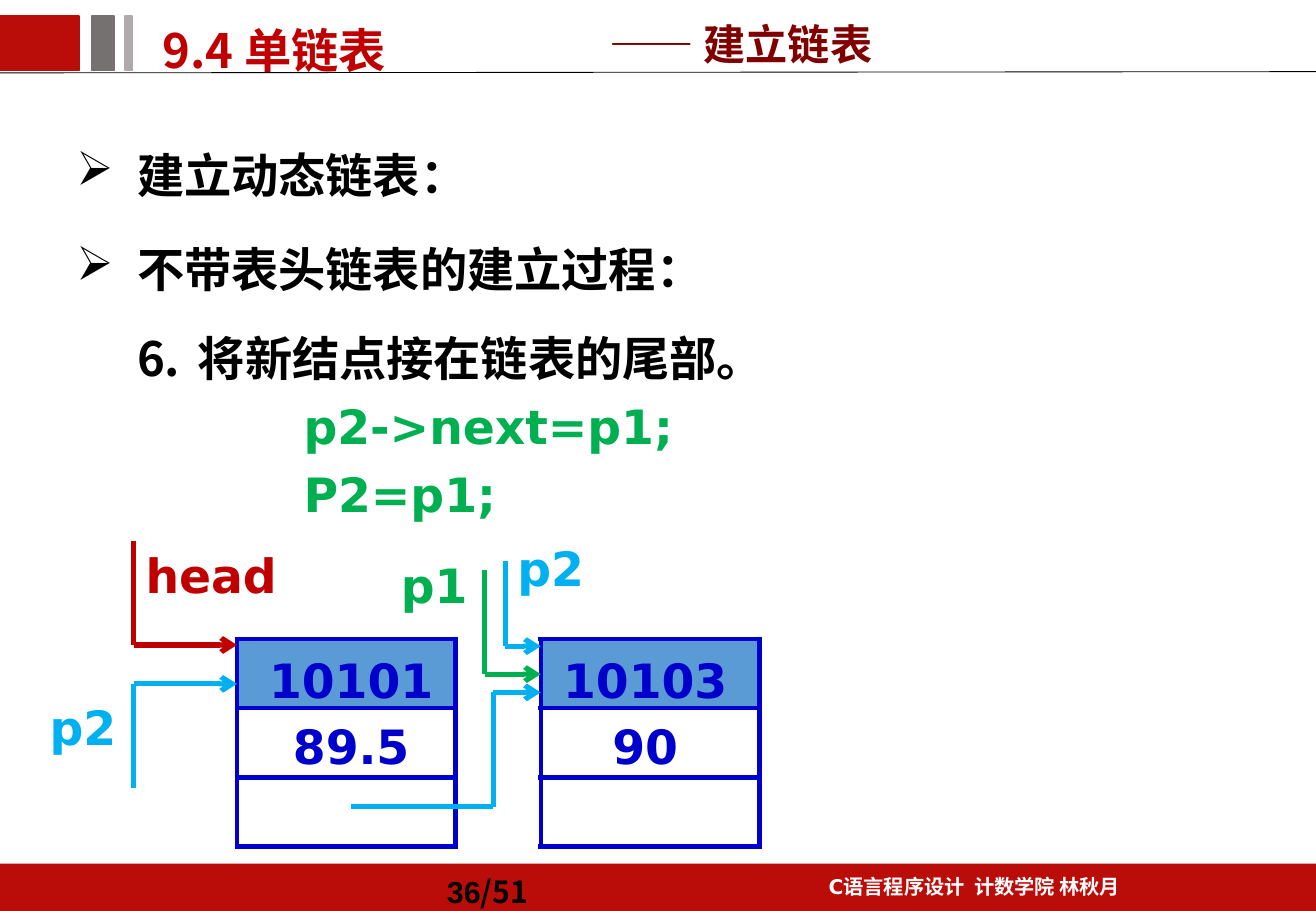
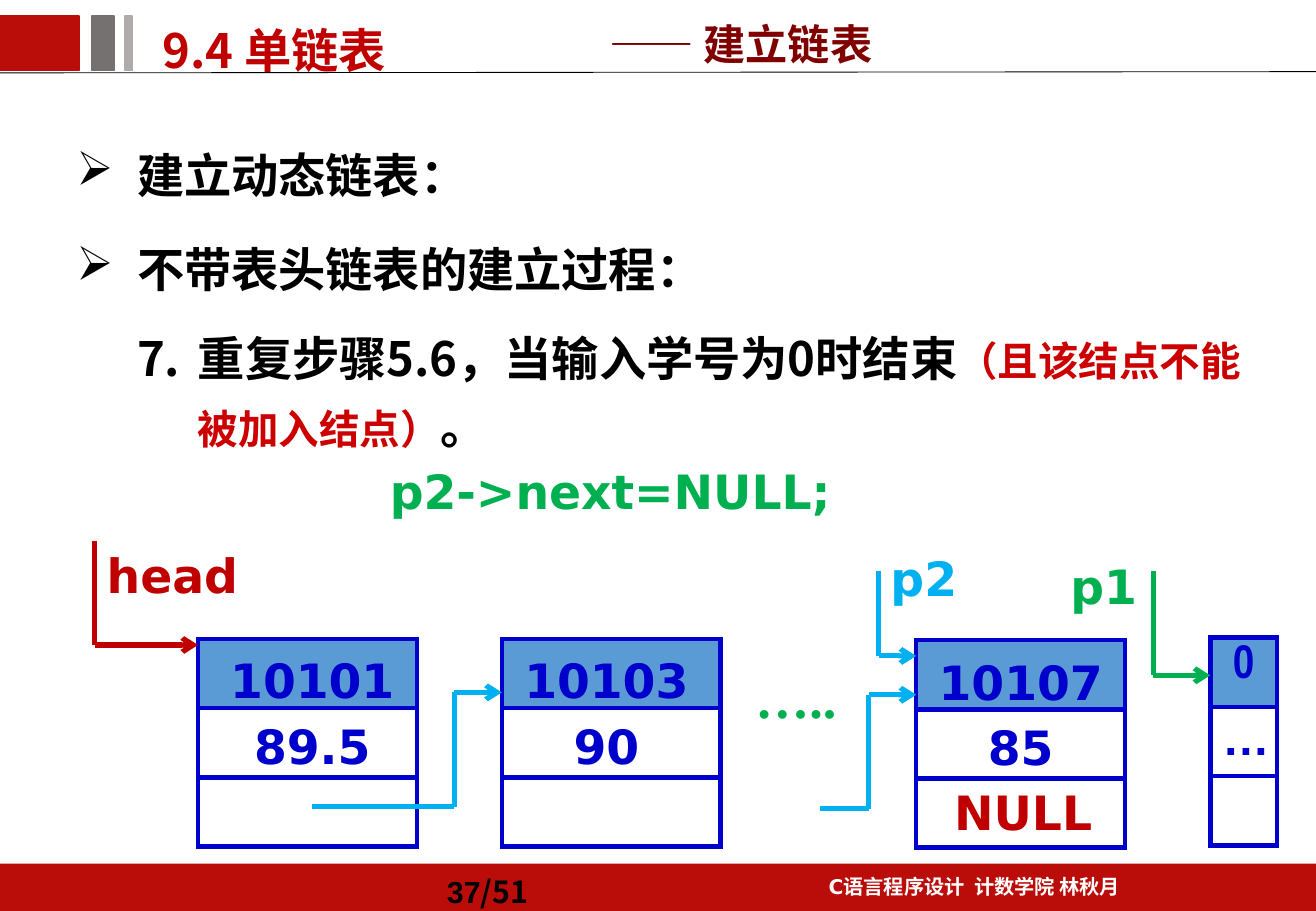
from dataclasses import dataclass
from itertools import pairwise

from lxml.etree import SubElement
from pptx import Presentation
from pptx.dml.color import RGBColor
from pptx.enum.shapes import MSO_CONNECTOR, MSO_SHAPE
from pptx.enum.text import MSO_ANCHOR, MSO_AUTO_SIZE, PP_ALIGN
from pptx.oxml.ns import qn
from pptx.util import Inches, Pt


@dataclass(frozen=True)
class Theme:
    band: str = "BA0D09"
    dark_gray: str = "767171"
    light_gray: str = "AFABAB"
    white: str = "FFFFFF"
    black: str = "000000"
    red: str = "C00000"
    note_red: str = "CC0000"
    maroon: str = "800000"
    green: str = "00B050"
    sky: str = "00B0F0"
    navy: str = "0000CC"
    node_fill: str = "5B9BD5"
    cjk: str = "Noto Sans CJK SC"
    code: str = "DejaVu Sans"
    sans: str = "Arial"
    narrow: str = "Arial Narrow"
    serif: str = "Times New Roman"
    body: int = 28
    subtitle: int = 25
    note: int = 24
    dots: int = 32
    page: int = 18
    footer: int = 12
    stroke: int = 3


THEME = Theme()
WIDTH, HEIGHT = 10.83, 7.5
ROW_HEIGHT = 0.57
NODE_WIDTH, LABEL_WIDTH = 1.8, 1.72
NODE_TOP = 5.26


def color(value):
    return RGBColor.from_string(value)


def add_run(paragraph, text, size=THEME.body, font=THEME.code, fill=THEME.black):
    run = paragraph.add_run()
    run.text = text
    run.font.size = Pt(size)
    run.font.bold = True
    run.font.name = font
    run.font.color.rgb = color(fill)
    east_asian = SubElement(run._r.get_or_add_rPr(), qn("a:ea"))
    east_asian.set("typeface", THEME.cjk)


def add_bullet(paragraph, margin, kind, **attributes):
    properties = paragraph._p.get_or_add_pPr()
    properties.set("marL", str(Inches(margin)))
    properties.set("indent", str(Inches(-0.5)))
    bullet = SubElement(properties, qn(kind))
    for name, value in attributes.items():
        bullet.set(name, str(value))


def add_text(slide, box, paragraphs, align=None, spacing=None, before=0,
             anchor=MSO_ANCHOR.TOP, wrap=True, grow=True, **style):
    shape = slide.shapes.add_textbox(*map(Inches, box))
    frame = shape.text_frame
    frame.word_wrap = wrap
    frame.vertical_anchor = anchor
    frame.auto_size = MSO_AUTO_SIZE.SHAPE_TO_FIT_TEXT if grow else MSO_AUTO_SIZE.NONE
    for index, content in enumerate(paragraphs):
        paragraph = frame.add_paragraph() if index else frame.paragraphs[0]
        paragraph.alignment = align
        paragraph.line_spacing = spacing
        paragraph.space_before = Pt(before)
        runs = [(content, {})] if isinstance(content, str) else content
        for text, changes in runs:
            add_run(paragraph, text, **{**style, **changes})
    return frame.paragraphs


def add_block(slide, box, fill, outline=True):
    shape = slide.shapes.add_shape(MSO_SHAPE.RECTANGLE, *map(Inches, box))
    shape.shadow.inherit = False
    shape.fill.solid()
    shape.fill.fore_color.rgb = color(fill)
    if outline:
        shape.line.color.rgb = color(fill)
        shape.line.width = Pt(1)
    else:
        shape.line.fill.background()


def add_line(slide, start, end, stroke, width=THEME.stroke, arrow=False):
    connector = slide.shapes.add_connector(
        MSO_CONNECTOR.STRAIGHT, *map(Inches, (*start, *end)))
    connector.line.color.rgb = color(stroke)
    connector.line.width = Pt(width)
    properties = connector._element.spPr
    if arrow:
        SubElement(properties.get_or_add_ln(), qn("a:tailEnd")).set("type", "arrow")
    SubElement(properties, qn("a:effectLst"))


def add_pointer(slide, stroke, *points):
    for start, end in pairwise(points):
        add_line(slide, start, end, stroke, arrow=end == points[-1])


def add_label(slide, left, top, text, fill, width=0.86, **style):
    add_text(slide, (left, top, width, ROW_HEIGHT), [text], fill=fill, **style)


def set_borders(cell):
    properties = cell._tc.get_or_add_tcPr()
    for index, side in enumerate(("a:lnL", "a:lnR", "a:lnT", "a:lnB")):
        border = SubElement(properties, qn(side))
        border.set("w", str(Pt(THEME.stroke)))
        fill = SubElement(border, qn("a:solidFill"))
        SubElement(fill, qn("a:srgbClr")).set("val", THEME.navy)
        properties.insert(index, border)


def add_node_table(slide, left, top, width):
    table = slide.shapes.add_table(
        3, 1, *map(Inches, (left, top, width, 3 * ROW_HEIGHT))).table
    table.first_row = False
    table.horz_banding = False
    for index, fill in enumerate((THEME.node_fill, THEME.white, THEME.white)):
        table.rows[index].height = Inches(ROW_HEIGHT)
        cell = table.cell(index, 0)
        cell.fill.solid()
        cell.fill.fore_color.rgb = color(fill)
        set_borders(cell)
    return table


def add_node(slide, left, top, values, width=NODE_WIDTH, shift=0):
    add_node_table(slide, left, top, width)
    add_text(slide, (left + shift, top - 0.02, LABEL_WIDTH, 1.18), values,
             align=PP_ALIGN.CENTER, spacing=Pt(39), fill=THEME.navy)


def add_end_node(slide, left, top):
    table = add_node_table(slide, left, top, 0.55)
    for index, (text, font) in enumerate((("0", THEME.narrow), ("…", THEME.sans))):
        paragraph = table.cell(index, 0).text_frame.paragraphs[0]
        paragraph.alignment = PP_ALIGN.CENTER
        add_run(paragraph, text, font=font, fill=THEME.navy)


def add_chain(slide, left):
    second = left + 2.5
    tail, bend = left - 0.85, second - 0.39
    add_node(slide, left, NODE_TOP, ["10101", "89.5"], shift=0.08)
    add_node(slide, second, NODE_TOP, ["10103", "90"])
    add_label(slide, tail, 4.45, "head", THEME.red, width=1.33)
    add_pointer(slide, THEME.red, (tail, 4.45), (tail, 5.31), (left, 5.31))
    add_pointer(slide, THEME.sky, (left + 0.94, 6.64), (bend, 6.64),
                (bend, 5.7), (second, 5.7))


def add_frame(slide, number):
    add_block(slide, (0, 7.11, WIDTH, 0.39), THEME.band, outline=False)
    add_text(slide, (6.1, 7.11, 3.84, 0.34),
             [[("C", {"font": THEME.code}), ("语言程序设计  计数学院 林秋月", {})]],
             align=PP_ALIGN.CENTER, spacing=1.2, before=2.4,
             size=THEME.footer, font=THEME.serif, fill=THEME.white)
    add_line(slide, (0, 0.6), (WIDTH, 0.59), THEME.black, width=0.5)
    for left, width, fill in ((0, 0.65, THEME.band), (0.76, 0.18, THEME.dark_gray),
                              (1.03, 0.06, THEME.light_gray)):
        add_block(slide, (left, 0.13, width, 0.45), fill)
    add_text(slide, (3.58, 7.11, 1.42, 0.39),
             [[(str(number), {"font": THEME.sans}), ("/51", {})]],
             spacing=1.2, before=3.6, anchor=MSO_ANCHOR.MIDDLE, grow=False,
             size=THEME.page, font=THEME.cjk)
    add_text(slide, (1.24, 0.03, 5.21, 0.67), ["9.4 单链表"],
             spacing=1.2, before=5.6, font=THEME.cjk, fill=THEME.red)
    add_text(slide, (4.92, 0.1, 5.08, 0.52), ["—— 建立链表"],
             anchor=MSO_ANCHOR.BOTTOM, size=THEME.subtitle,
             font=THEME.sans, fill=THEME.maroon)


def add_outline(slide, step, runs, height):
    topics = add_text(slide, (0.53, 0.92, 9.76, 1.61),
                      ["建立动态链表：", "不带表头链表的建立过程："],
                      spacing=1.5, before=5.6, font=THEME.cjk)
    for paragraph in topics:
        add_bullet(paragraph, 0.5, "a:buChar", char="➢")
    paragraph = add_text(slide, (0.53, 2.57, 10.08, height), [runs],
                         spacing=1.2, before=5.6, font=THEME.cjk)[0]
    paragraph.level = 1
    add_bullet(paragraph, 1, "a:buAutoNum", type="arabicPeriod", startAt=step)


def build_append_slide(slide):
    add_frame(slide, 36)
    add_outline(slide, 6, "将新结点接在链表的尾部。", 0.67)
    add_text(slide, (2.4, 3.13, 4.04, 1.22), ["p2->next=p1;", "P2=p1;"],
             spacing=1.2, fill=THEME.green)
    first, second = 1.95, 4.45
    add_chain(slide, first)
    add_label(slide, 0.31, 5.7, "p2", THEME.sky)
    add_pointer(slide, THEME.sky, (1.1, 6.49), (1.1, 5.63), (first, 5.63))
    add_label(slide, 3.2, 4.53, "p1", THEME.green)
    add_pointer(slide, THEME.green, (3.99, 4.69), (3.99, 5.55), (second, 5.55))
    add_label(slide, 4.16, 4.39, "p2", THEME.sky)
    add_pointer(slide, THEME.sky, (4.16, 4.62), (4.16, 5.32), (second, 5.32))


def build_finish_slide(slide):
    add_frame(slide, 37)
    add_outline(slide, 7, [
        ("重复步骤5.6，当输入学号为0时结束", {}),
        ("（且该结点不能被加入结点）", {"size": THEME.note, "fill": THEME.note_red}),
        ("。", {}),
    ], 1.23)
    add_label(slide, 3.11, 3.76, "p2->next=NULL;", THEME.green, width=4.3)
    add_chain(slide, 1.63)
    add_text(slide, (6.11, 5.4, 0.88, 0.66), ["….."], align=PP_ALIGN.CENTER,
             spacing=Pt(40), wrap=False, size=THEME.dots,
             font=THEME.serif, fill=THEME.green)
    last, end = 7.54, 9.96
    add_node(slide, last, 5.27, ["10107", "85"], width=LABEL_WIDTH)
    add_label(slide, 7.6, 6.4, "NULL", THEME.red, width=1.64, align=PP_ALIGN.CENTER)
    add_end_node(slide, end, 5.25)
    add_label(slide, 7.23, 4.47, "p2", THEME.sky)
    add_pointer(slide, THEME.sky, (7.23, 4.7), (7.23, 5.4), (last, 5.4))
    add_pointer(slide, THEME.sky, (6.75, 6.66), (7.15, 6.66), (7.15, 5.72), (last, 5.72))
    add_label(slide, 8.71, 4.54, "p1", THEME.green)
    add_pointer(slide, THEME.green, (9.49, 4.7), (9.49, 5.56), (end, 5.56))


def main():
    presentation = Presentation()
    presentation.slide_width = Inches(WIDTH)
    presentation.slide_height = Inches(HEIGHT)
    for build in (build_append_slide, build_finish_slide):
        build(presentation.slides.add_slide(presentation.slide_layouts[6]))
    presentation.save("out.pptx")


if __name__ == "__main__":
    main()
